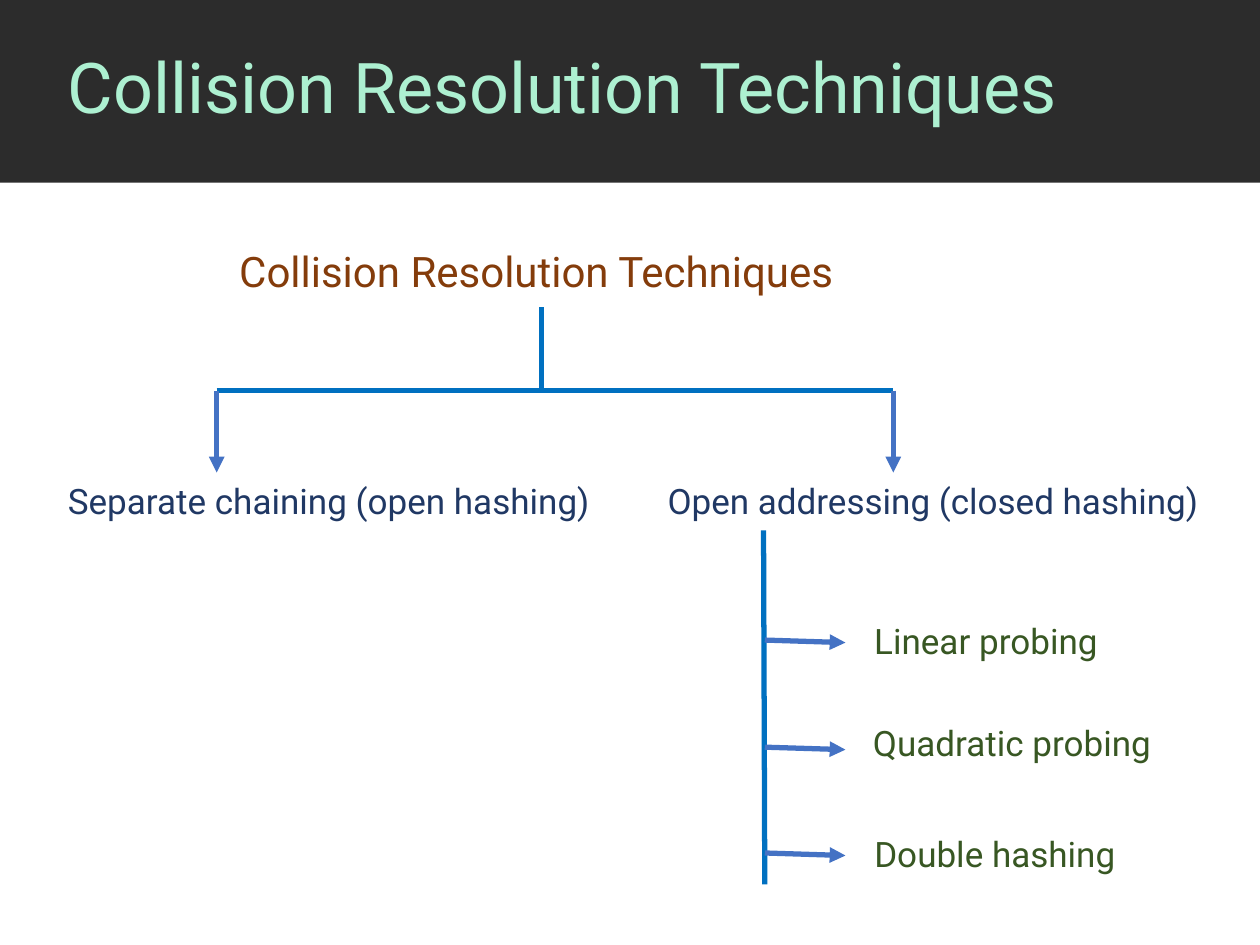
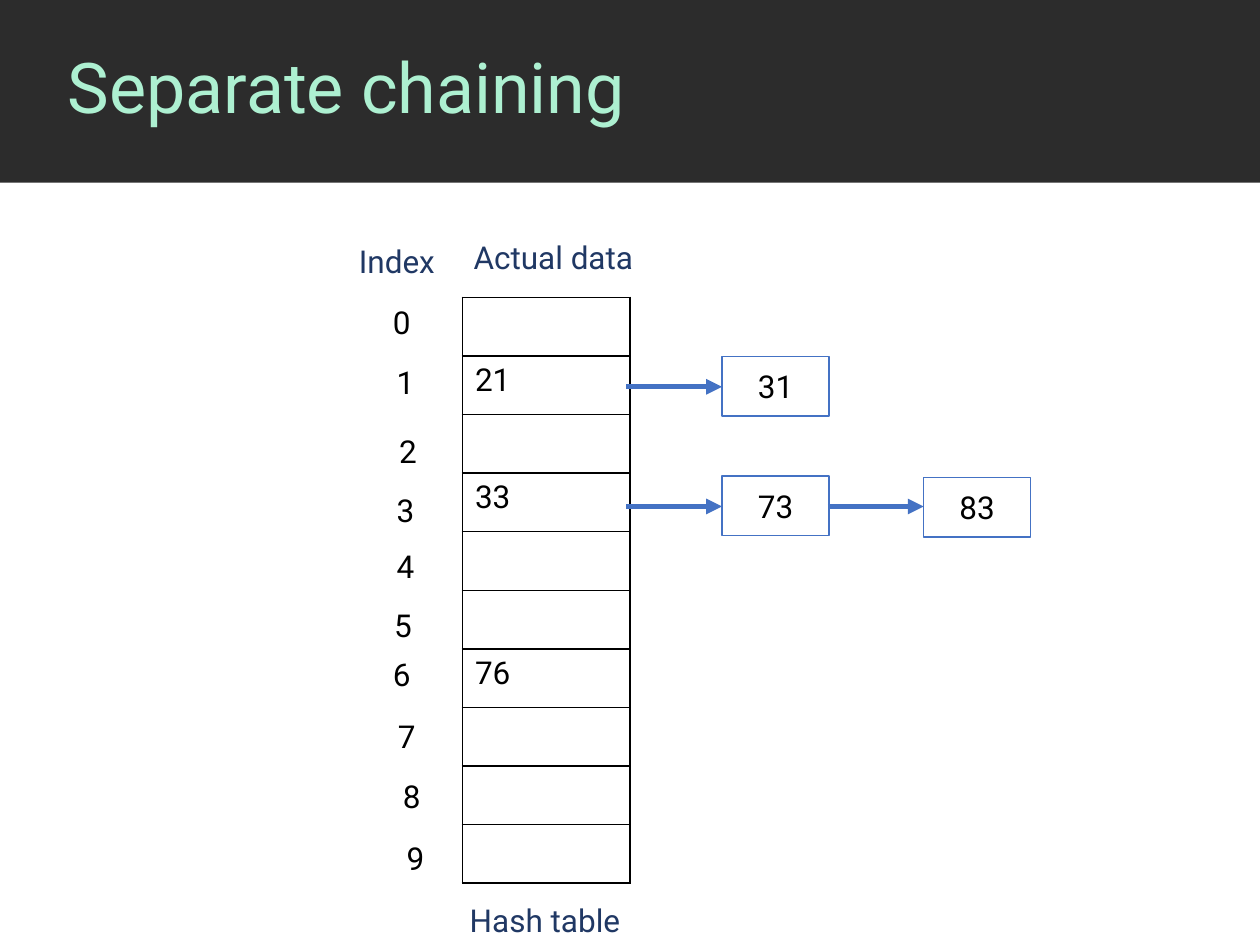
from lxml.etree import SubElement
from pptx import Presentation
from pptx.dml.color import RGBColor
from pptx.enum.shapes import MSO_CONNECTOR, MSO_SHAPE
from pptx.enum.text import MSO_ANCHOR, PP_ALIGN
from pptx.oxml import parse_xml
from pptx.oxml.ns import nsdecls, qn
from pptx.util import Inches, Pt

DARK, MINT, WHITE, BLACK = "2C2C2C", "ADF0D1", "FFFFFF", "000000"
BLUE, SKY, NAVY = "4472C4", "0070C0", "203864"
BROWN, GREEN = "843C0B", "385723"


def color(code):
    return RGBColor.from_string(code)


class Deck:
    """Holds the shared style and the slide being drawn."""

    font = "Roboto"

    def __init__(self):
        self.prs = Presentation()
        self.prs.slide_width, self.prs.slide_height = Inches(10), Inches(7.5)
        self.slide = None

    def start(self, title):
        """Add a slide with the dark band and its title."""
        self.slide = self.prs.slides.add_slide(self.prs.slide_layouts[6])
        self.rect(0, 0, 10, 1.45, DARK)
        frame = self.text(title, 0.44, 0, 9.56, 1.44, 40, MINT)
        frame.vertical_anchor = MSO_ANCHOR.MIDDLE
        frame.paragraphs[0].line_spacing = 0.9

    def label(self, frame, words, size, code):
        """Put styled words into a text frame."""
        frame.word_wrap = True
        run = frame.paragraphs[0].add_run()
        run.text = words
        style = {"name": self.font, "size": Pt(size)}
        for key, value in style.items():
            setattr(run.font, key, value)
        run.font.color.rgb = color(code)

    def text(self, words, x, y, w, h=0.4, size=18, code=NAVY):
        box = self.slide.shapes.add_textbox(
            Inches(x), Inches(y), Inches(w), Inches(h))
        self.label(box.text_frame, words, size, code)
        return box.text_frame

    def rect(self, x, y, w, h, fill, edge=None):
        box = self.slide.shapes.add_shape(
            MSO_SHAPE.RECTANGLE, Inches(x), Inches(y), Inches(w), Inches(h))
        box.shadow.inherit = False
        box.fill.solid()
        box.fill.fore_color.rgb = color(fill)
        if edge:
            box.line.color.rgb = color(edge)
            box.line.width = Pt(1)
        else:
            box.line.fill.background()
        return box

    def node(self, words, x, y):
        """Draw one linked list node."""
        frame = self.rect(x, y, 0.85, 0.47, WHITE, BLUE).text_frame
        self.label(frame, words, 18, BLACK)
        frame.vertical_anchor = MSO_ANCHOR.MIDDLE
        frame.paragraphs[0].alignment = PP_ALIGN.CENTER

    def line(self, x1, y1, x2, y2, code=SKY):
        link = self.slide.shapes.add_connector(
            MSO_CONNECTOR.STRAIGHT,
            Inches(x1), Inches(y1), Inches(x2), Inches(y2))
        link.line.color.rgb = color(code)
        link.line.width = Pt(3)
        SubElement(link._element.spPr, qn("a:effectLst"))
        return link

    def arrow(self, x1, y1, x2, y2):
        link = self.line(x1, y1, x2, y2, BLUE)
        SubElement(link._element.spPr.find(qn("a:ln")), qn("a:tailEnd"),
                   type="triangle")

    def table(self, values, x, y, w, h):
        """Draw a one-column table with black borders."""
        grid = self.slide.shapes.add_table(
            len(values), 1, Inches(x), Inches(y), Inches(w), Inches(h)).table
        for row, value in enumerate(values):
            cell = grid.cell(row, 0)
            props = cell._tc.get_or_add_tcPr()
            for side in "LRTB":
                props.append(parse_xml(
                    f'<a:ln{side} {nsdecls("a")} w="12700"><a:solidFill>'
                    f'<a:srgbClr val="{BLACK}"/></a:solidFill></a:ln{side}>'))
            cell.fill.background()
            self.label(cell.text_frame, value, 18, BLACK)


def draw_tree(deck):
    deck.start("Collision Resolution Techniques")
    for words, x, y, w, size, code in [
        ("Collision Resolution Techniques", 1.8, 1.9, 4.99, 24, BROWN),
        ("Separate chaining (open hashing)", 0.44, 3.76, 4.41, 20, NAVY),
        ("Open addressing (closed hashing)", 5.2, 3.76, 4.47, 20, NAVY),
        ("Linear probing", 6.84, 4.87, 2, 20, GREEN),
        ("Quadratic probing", 6.83, 5.68, 2.43, 20, GREEN),
        ("Double hashing", 6.84, 6.56, 2.15, 20, GREEN),
    ]:
        deck.text(words, x, y, w, 0.5, size, code)
    left, right, fork = 1.72, 7.09, 3.1
    deck.line(4.3, 2.44, 4.3, fork)
    deck.line(left, fork, right, fork)
    deck.line(6.06, 4.21, 6.07, 7.02)
    for x in (left, right):
        deck.arrow(x, fork, x, 3.75)
    for y in (5.08, 5.93, 6.77):
        deck.arrow(6.07, y, 6.71, y + 0.02)


def draw_chain(deck):
    deck.start("Separate chaining")
    spots = [(3.02, 2.36), (3.05, 2.83), (3.07, 3.38), (3.05, 3.85),
             (3.05, 4.29), (3.03, 4.76), (3.02, 5.15), (3.06, 5.64),
             (3.1, 6.12), (3.13, 6.61)]
    for index, (x, y) in enumerate(spots):
        deck.text(str(index), x, y, 0.4, code=BLACK)
    deck.text("Hash table", 3.63, 7.1, 1.46)
    data = {1: "21", 3: "33", 6: "76"}
    deck.table([data.get(i, "") for i in range(len(spots))],
               3.67, 2.36, 1.33, 4.65)
    deck.text("Actual data", 3.66, 1.84, 1.75)
    deck.text("Index", 2.75, 1.87, 0.84)
    for words, x, y in [("31", 5.73, 2.83), ("73", 5.73, 3.78),
                        ("83", 7.33, 3.79)]:
        deck.node(words, x, y)
    for x, y in [(4.97, 3.07), (4.97, 4.02), (6.57, 4.02)]:
        deck.arrow(x, y, x + 0.76, y)


def main():
    deck = Deck()
    draw_tree(deck)
    draw_chain(deck)
    deck.prs.save("out.pptx")


if __name__ == "__main__":
    main()
